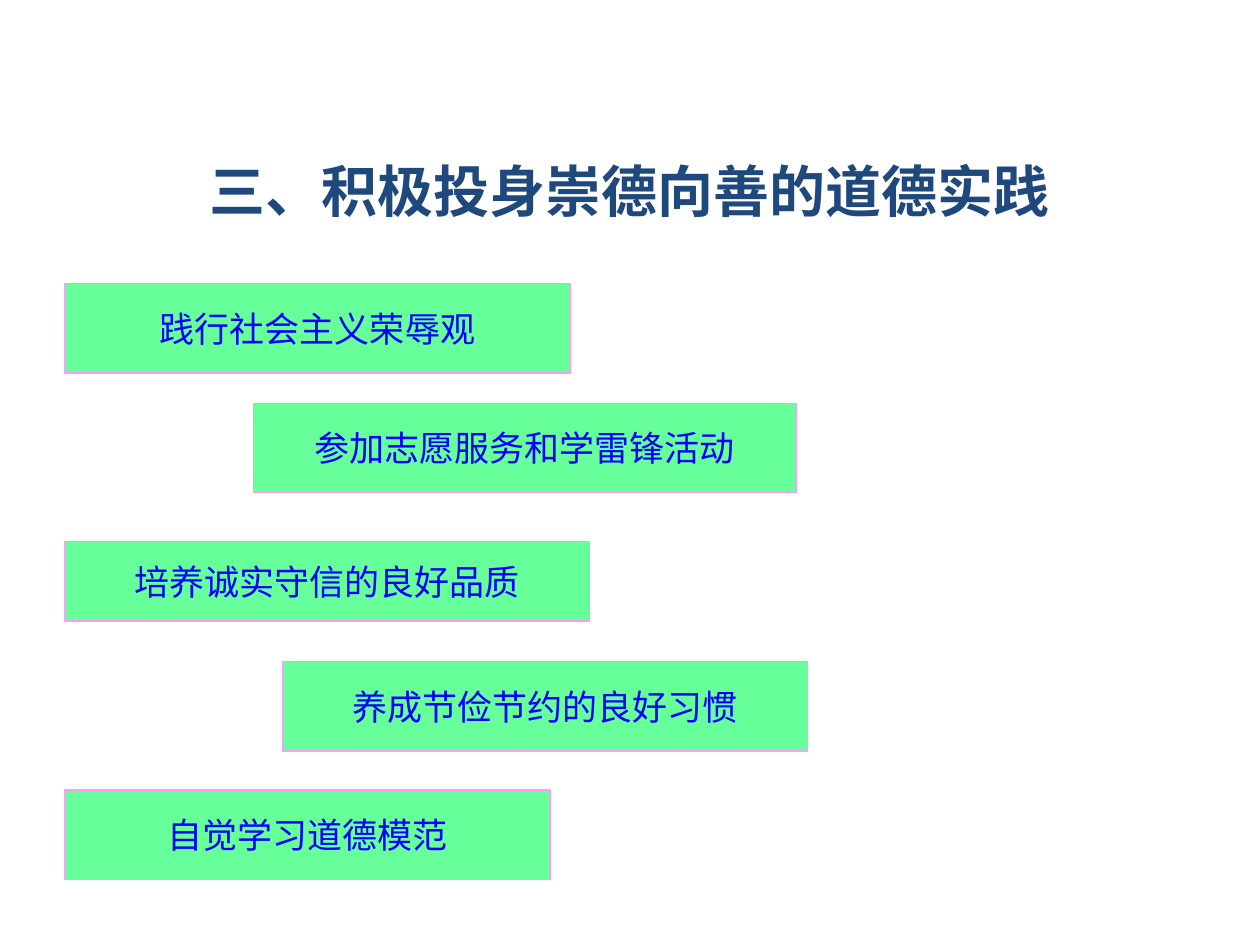
from pptx import Presentation
from pptx.dml.color import RGBColor
from pptx.enum.shapes import MSO_SHAPE
from pptx.enum.text import MSO_ANCHOR, PP_ALIGN
from pptx.util import Inches, Pt

# left, top, width, height in inches
TITLE_BOX = (0.5, 1, 9, 1.02)
PRACTICES = [
    ("践行社会主义荣辱观", (0.51, 2.25, 4.02, 0.71)),
    ("参加志愿服务和学雷锋活动", (2.01, 3.2, 4.31, 0.71)),
    ("培养诚实守信的良好品质", (0.51, 4.3, 4.17, 0.63)),
    ("养成节俭节约的良好习惯", (2.24, 5.25, 4.17, 0.71)),
    ("自觉学习道德模范", (0.51, 6.27, 3.86, 0.71)),
]


def rgb(value):
    return RGBColor.from_string(value)


def set_text(sp, text, size, color, bold=False, wrap=True):
    tf = sp.text_frame
    tf.word_wrap = wrap
    tf.vertical_anchor = MSO_ANCHOR.MIDDLE
    p = tf.paragraphs[0]
    p.alignment = PP_ALIGN.CENTER
    r = p.add_run()
    r.text = text
    r.font.name = "Arial"
    r.font.size = Pt(size)
    r.font.bold = bold
    r.font.color.rgb = rgb(color)


def add_title(s, box, text):
    sp = s.shapes.add_textbox(*map(Inches, box))
    set_text(sp, text, size=32, color="1F497D", bold=True)


def add_practice(s, box, text):
    sp = s.shapes.add_shape(MSO_SHAPE.RECTANGLE, *map(Inches, box))
    sp.shadow.inherit = False
    sp.fill.solid()
    sp.fill.fore_color.rgb = rgb("66FF99")
    sp.line.color.rgb = rgb("FF99FF")
    sp.line.width = Pt(0.75)
    set_text(sp, text, size=20, color="0000FF", wrap=False)


def main():
    prs = Presentation()
    prs.slide_width, prs.slide_height = Inches(10), Inches(7.5)
    s = prs.slides.add_slide(prs.slide_layouts[6])

    # Heading
    add_title(s, TITLE_BOX, "三、积极投身崇德向善的道德实践")

    # Staggered practice boxes
    for text, box in PRACTICES:
        add_practice(s, box, text)

    prs.save("out.pptx")


if __name__ == "__main__":
    main()
